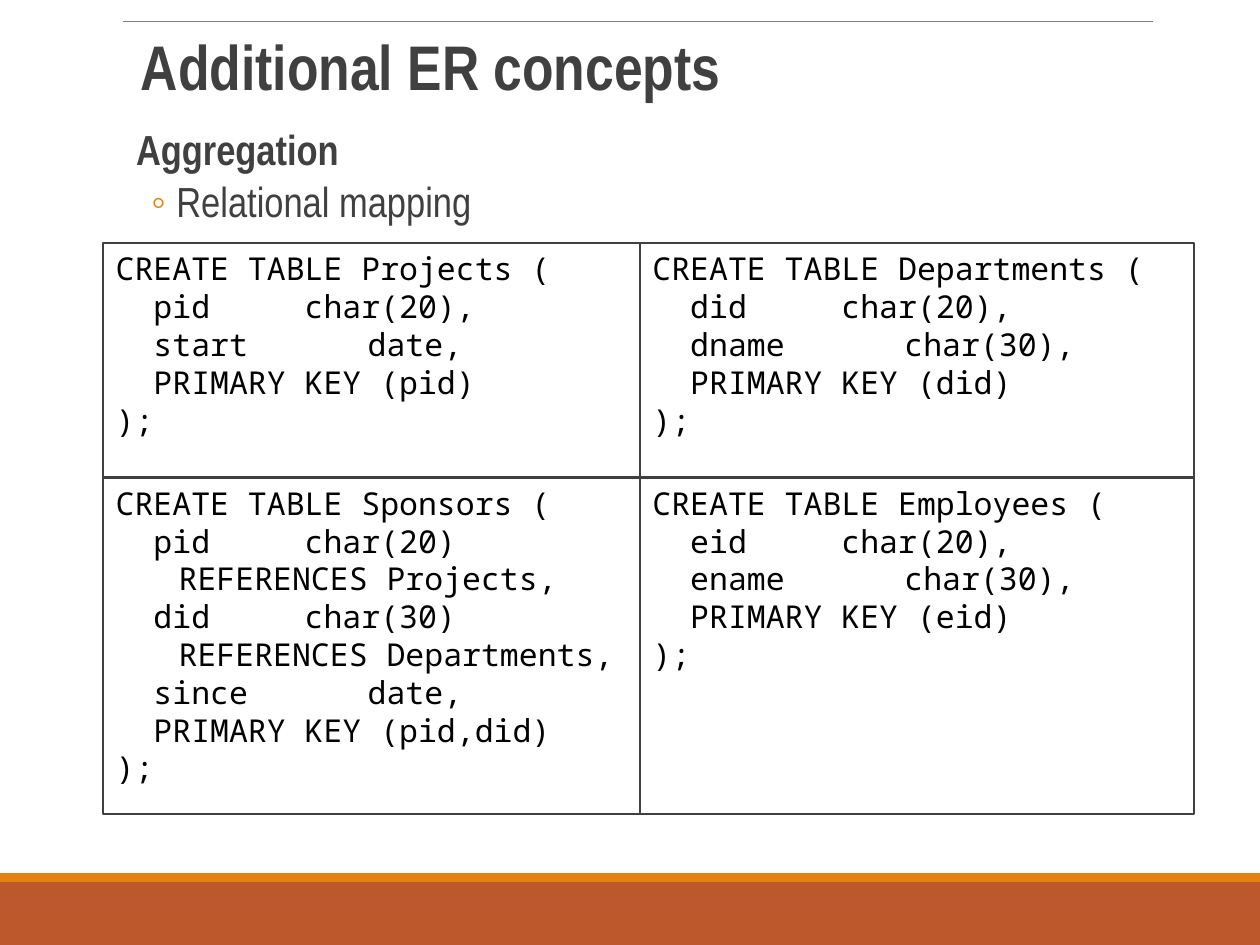
from dataclasses import dataclass

from lxml import etree
from pptx import Presentation
from pptx.dml.color import RGBColor
from pptx.enum.shapes import MSO_CONNECTOR, MSO_SHAPE
from pptx.enum.text import MSO_ANCHOR, MSO_AUTO_SIZE, PP_ALIGN
from pptx.oxml.ns import qn
from pptx.util import Emu, Inches, Pt

RECTANGLE, STRAIGHT = MSO_SHAPE.RECTANGLE, MSO_CONNECTOR.STRAIGHT
TOP, LEFT, NO_AUTOFIT = MSO_ANCHOR.TOP, PP_ALIGN.LEFT, MSO_AUTO_SIZE.NONE
RUST = RGBColor(0xBD, 0x58, 0x2C)
ORANGE = RGBColor(0xE4, 0x83, 0x12)
GRAY = RGBColor(0x80, 0x80, 0x80)
CHARCOAL = RGBColor(0x40, 0x40, 0x40)
BLACK = RGBColor(0, 0, 0)
HEADING_FONT, CODE_FONT = "Arial Narrow", "Noto Sans Mono"
COLUMN_EDGES = (0.82, 5.08, 9.48)
ROW_EDGES = (1.93, 3.79, 6.46)
TAB_STEP = 0.5


@dataclass(frozen=True)
class Band:
    """A full-width footer stripe, in inches."""
    top: float
    height: float
    color: RGBColor


@dataclass(frozen=True)
class OutlineItem:
    """A paragraph of the outline with its bullet and spacing."""
    text: str
    size: int
    bold: bool
    level: int
    bullet: str
    margin: float
    hanging: float
    before: int
    after: int


@dataclass(frozen=True)
class CodeCell:
    """A SQL statement at a column and row of the grid."""
    column: int
    row: int
    code: str


BANDS = (Band(7, 0.5, RUST), Band(6.93, 0.07, ORANGE))
OUTLINE = (
    OutlineItem("Additional ER concepts", 36, True, 0, " ", 0.1, 0.1, 12, 2),
    OutlineItem("Aggregation", 24, True, 0, " ", 0.1, 0.1, 12, 2),
    OutlineItem("Relational mapping", 24, False, 1, "◦", 0.42, 0.2, 2, 4),
)
STATEMENTS = (
    CodeCell(0, 0, "CREATE TABLE Projects (\n  pid\t\tchar(20),\n"
                   "  start\t\tdate,\n  PRIMARY KEY (pid)\n);"),
    CodeCell(1, 0, "CREATE TABLE Departments (\n  did\t\tchar(20),\n"
                   "  dname\t\tchar(30),\n  PRIMARY KEY (did)\n);"),
    CodeCell(0, 1, "CREATE TABLE Sponsors (\n  pid\t\tchar(20)\n"
                   "\tREFERENCES Projects,\n  did\t\tchar(30)\n"
                   "\tREFERENCES Departments,\n  since\t\tdate,\n"
                   "  PRIMARY KEY (pid,did)\n);"),
    CodeCell(1, 1, "CREATE TABLE Employees (\n  eid\t\tchar(20),\n"
                   "  ename\t\tchar(30),\n  PRIMARY KEY (eid)\n);"),
)


def format_runs(para, font: str, size: int, color: RGBColor, bold: bool) -> None:
    """Format every run of a paragraph."""
    for span in para.runs:
        span.font.name = font
        span.font.size = Pt(size)
        span.font.color.rgb = color
        span.font.bold = bold


def draw_band(page, band: Band, width: Emu) -> None:
    """Draw a footer stripe across the page."""
    stripe = page.shapes.add_shape(
        RECTANGLE, 0, Inches(band.top), width, Inches(band.height))
    stripe.shadow.inherit = False
    stripe.fill.solid()
    stripe.fill.fore_color.rgb = band.color
    stripe.line.fill.background()


def draw_rule(page) -> None:
    """Draw the thin line above the heading."""
    rule = page.shapes.add_connector(
        STRAIGHT, Inches(0.98), Inches(0.17), Inches(9.15), Inches(0.17))
    rule.line.color.rgb = GRAY
    rule.line.width = Pt(0.5)
    etree.SubElement(rule._element.spPr, qn("a:effectLst"))


def set_bullet(para, item: OutlineItem) -> None:
    """Give a paragraph its indent, bullet colour and bullet character."""
    properties = para._p.get_or_add_pPr()
    properties.set("marL", str(Inches(item.margin)))
    properties.set("indent", str(-Inches(item.hanging)))
    color = etree.SubElement(properties, qn("a:buClr"))
    etree.SubElement(color, qn("a:srgbClr"), val=str(ORANGE))
    etree.SubElement(properties, qn("a:buChar"), char=item.bullet)


def fill_outline(body) -> None:
    """Place the body placeholder and write the outline in it."""
    body.left, body.top = Inches(0.98), Inches(0.24)
    body.width, body.height = Inches(8.18), Inches(6.65)
    frame = body.text_frame
    frame.auto_size = NO_AUTOFIT
    frame.vertical_anchor = TOP
    frame.margin_left = frame.margin_right = 0
    frame.margin_top = frame.margin_bottom = Inches(0.05)
    frame.text = "\n".join(item.text for item in OUTLINE)
    for para, item in zip(frame.paragraphs, OUTLINE):
        para.level = item.level
        para.line_spacing = 0.9
        para.space_before, para.space_after = Pt(item.before), Pt(item.after)
        set_bullet(para, item)
        format_runs(para, HEADING_FONT, item.size, CHARCOAL, item.bold)


def draw_code(page, cell: CodeCell) -> None:
    """Draw an outlined grid cell with its SQL statement."""
    left, right = COLUMN_EDGES[cell.column:cell.column + 2]
    top, bottom = ROW_EDGES[cell.row:cell.row + 2]
    box = page.shapes.add_shape(
        RECTANGLE, Inches(left), Inches(top), Inches(right - left), Inches(bottom - top))
    box.shadow.inherit = False
    box.fill.background()
    box.line.color.rgb = CHARCOAL
    box.line.width = Pt(1.25)
    frame = box.text_frame
    frame.word_wrap = True
    frame.vertical_anchor = TOP
    frame.text = cell.code
    for para in frame.paragraphs:
        para.alignment = LEFT
        tabs = etree.SubElement(para._p.get_or_add_pPr(), qn("a:tabLst"))
        for stop in range(1, 5):
            etree.SubElement(tabs, qn("a:tab"), pos=str(Inches(stop * TAB_STEP)), algn="l")
        format_runs(para, CODE_FONT, 18, BLACK, False)


def main() -> None:
    """Build the slide and save it."""
    deck = Presentation()
    deck.slide_width, deck.slide_height = Inches(10), Inches(7.5)
    page = deck.slides.add_slide(deck.slide_layouts[1])
    title, body = page.placeholders
    title._element.getparent().remove(title._element)
    fill_outline(body)
    for band in BANDS:
        draw_band(page, band, deck.slide_width)
    draw_rule(page)
    for cell in STATEMENTS:
        draw_code(page, cell)
    deck.save("out.pptx")


if __name__ == "__main__":
    main()
